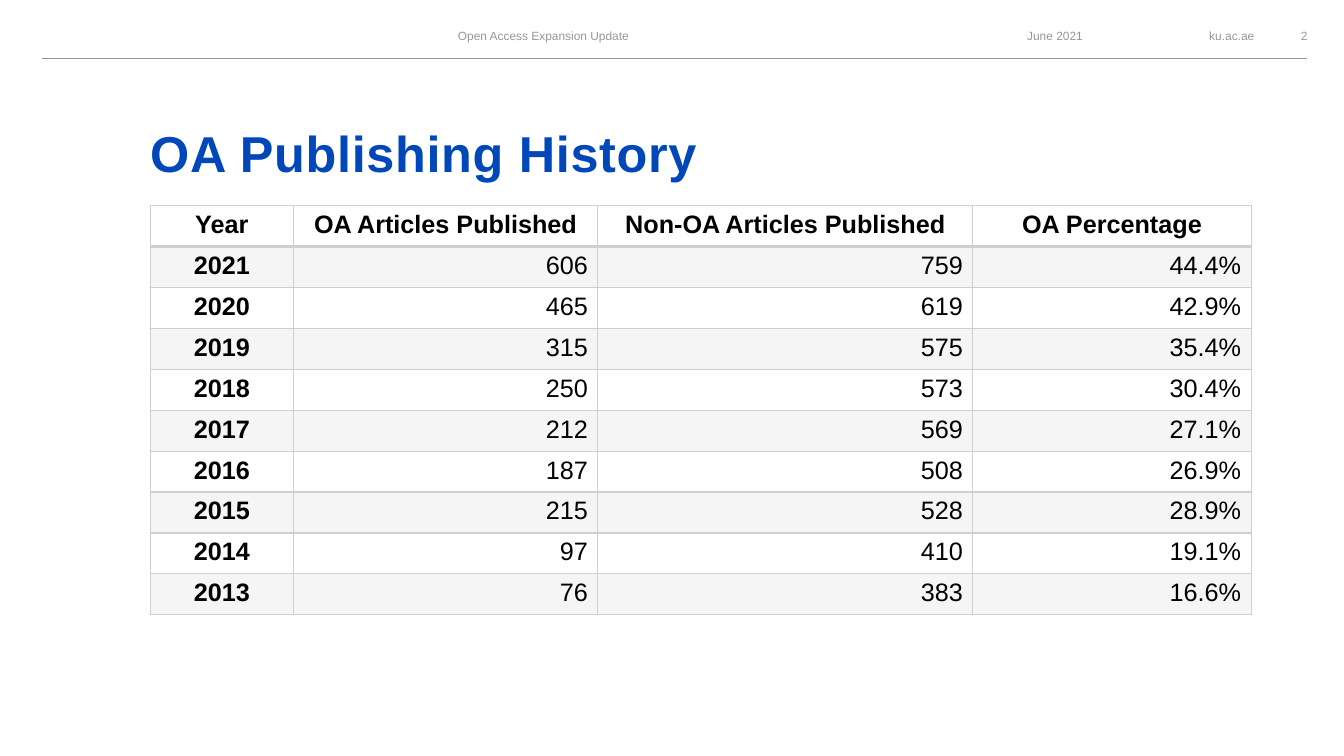
"""Build the open access publishing history slide."""
from lxml import etree
from pptx import Presentation
from pptx import util as u
from pptx.dml import color as dml
from pptx.enum import shapes, text
from pptx.oxml import ns

HEADINGS = ("Year", "OA Articles Published", "Non-OA Articles Published", "OA Percentage")
HISTORY = [
    ("2021", "606", "759", "44.4%"),
    ("2020", "465", "619", "42.9%"),
    ("2019", "315", "575", "35.4%"),
    ("2018", "250", "573", "30.4%"),
    ("2017", "212", "569", "27.1%"),
    ("2016", "187", "508", "26.9%"),
    ("2015", "215", "528", "28.9%"),
    ("2014", "97", "410", "19.1%"),
    ("2013", "76", "383", "16.6%"),
]
TITLE = "OA Publishing History"
RUNNING_HEAD = [
    ("ku.ac.ae", 11.39, 1.05, "right"),
    ("June 2021", 8.84, 1.9, "right"),
    ("Open Access Expansion Update", 3.14, 4.5, "center"),
    ("2", 12.65, 0.57, "center"),
]
COLORS = {"title": "0047BA", "muted": "96969A", "grid": "D0CFCD", "body": "000000"}
ALIGN = {"left": text.PP_ALIGN.LEFT, "center": text.PP_ALIGN.CENTER, "right": text.PP_ALIGN.RIGHT}
FONT = "Arial"
WIDTH, HEIGHT = 13.33, 7.5
LEFT, CONTENT_WIDTH = 1.49, 10.93
HEAD_TOP, HEAD_HEIGHT = 0.22, 0.27
RULE_LEFT, RULE_RIGHT, RULE_TOP = 0.42, 12.96, 0.58
TITLE_TOP, TITLE_HEIGHT = 0.59, 1.22
TABLE_TOP, TABLE_HEIGHT = 2.04, 4.06
COLUMNS = (1.42, 3.02, 3.72, 2.76)
BAND_ALPHA = 20


def write(frame, words, *, size, color, bold=False, align="left", spacing=None):
    para = frame.paragraphs[0]
    para.alignment = ALIGN[align]
    span = para.add_run()
    span.text = words
    span.font.name = FONT
    span.font.size = u.Pt(size)
    span.font.bold = bold
    span.font.color.rgb = dml.RGBColor.from_string(COLORS[color])
    if spacing:
        span.font._element.set("spc", str(int(spacing * 100)))


def add_box(page, left, top, width, height, anchor):
    box = page.shapes.add_textbox(*map(u.Inches, (left, top, width, height)))
    frame = box.text_frame
    frame.word_wrap = True
    frame.vertical_anchor = anchor
    frame.margin_left = frame.margin_right = frame.margin_top = frame.margin_bottom = 0
    return frame


def add_rule(page):
    rule = page.shapes.add_connector(
        shapes.MSO_CONNECTOR.STRAIGHT,
        *map(u.Inches, (RULE_LEFT, RULE_TOP, RULE_RIGHT, RULE_TOP)))
    rule.line.color.rgb = dml.RGBColor.from_string(COLORS["muted"])
    rule.line.width = u.Pt(0.75)
    etree.SubElement(rule._element.spPr, ns.qn("a:effectLst"))


def set_borders(cell, top, bottom):
    properties = cell._tc.get_or_add_tcPr()
    for side, points in (("L", 1), ("R", 1), ("T", top), ("B", bottom)):
        line = etree.SubElement(properties, ns.qn(f"a:ln{side}"), w=str(u.Pt(points)))
        fill = etree.SubElement(line, ns.qn("a:solidFill"))
        etree.SubElement(fill, ns.qn("a:srgbClr"), val=COLORS["grid"])


def set_band(cell):
    cell.fill.solid()
    cell.fill.fore_color.rgb = dml.RGBColor.from_string(COLORS["grid"])
    shade = cell._tc.tcPr.find(ns.qn("a:solidFill")).find(ns.qn("a:srgbClr"))
    etree.SubElement(shade, ns.qn("a:alpha"), val=str(BAND_ALPHA * 1000))


def add_history(page):
    rows = [HEADINGS, *HISTORY]
    table = page.shapes.add_table(
        len(rows), len(COLUMNS),
        *map(u.Inches, (LEFT, TABLE_TOP, CONTENT_WIDTH, TABLE_HEIGHT))).table
    table.first_row = table.horz_banding = False
    for column, width in zip(table.columns, COLUMNS):
        column.width = u.Inches(width)
    for r, values in enumerate(rows):
        table.rows[r].height = u.Inches(TABLE_HEIGHT / len(rows))
        for c, value in enumerate(values):
            cell = table.cell(r, c)
            label = r == 0 or c == 0
            write(cell.text_frame, value, size=18, color="body", bold=label,
                  align="center" if label else "right")
            set_borders(cell, top=2 if r == 1 else 1, bottom=2 if r == 0 else 1)
            if r % 2:
                set_band(cell)
            else:
                cell.fill.background()


def main():
    deck = Presentation()
    deck.slide_width, deck.slide_height = u.Inches(WIDTH), u.Inches(HEIGHT)
    page = deck.slides.add_slide(deck.slide_layouts[6])
    add_rule(page)
    title = add_box(page, LEFT, TITLE_TOP, CONTENT_WIDTH, TITLE_HEIGHT, text.MSO_ANCHOR.BOTTOM)
    write(title, TITLE, size=36, color="title", bold=True, spacing=0.5)
    add_history(page)
    for words, left, width, align in RUNNING_HEAD:
        frame = add_box(page, left, HEAD_TOP, width, HEAD_HEIGHT, text.MSO_ANCHOR.MIDDLE)
        write(frame, words, size=8.5, color="muted", align=align)
    deck.save("out.pptx")


if __name__ == "__main__":
    main()
